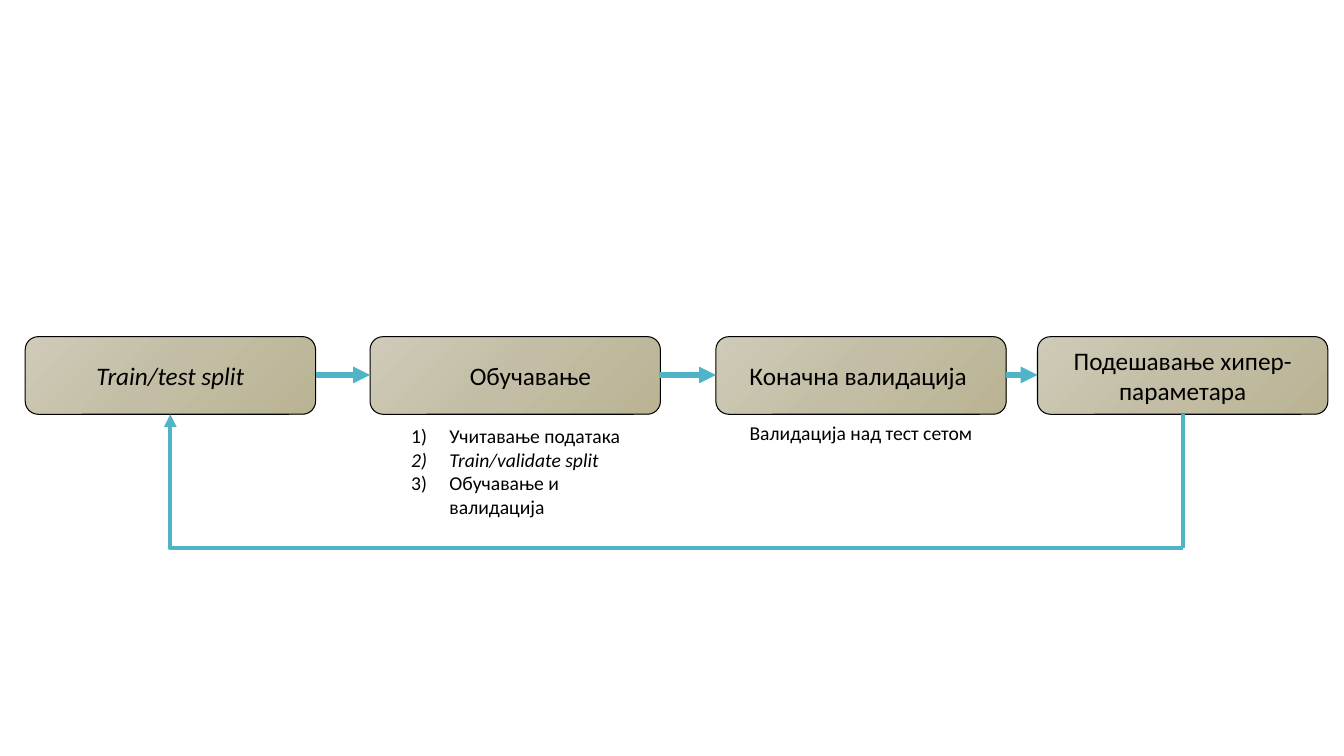
from copy import deepcopy
from dataclasses import dataclass

from lxml import etree
from pptx import Presentation
from pptx.dml.color import RGBColor
from pptx.enum.shapes import MSO_CONNECTOR, MSO_SHAPE
from pptx.enum.text import MSO_ANCHOR, MSO_AUTO_SIZE, PP_ALIGN
from pptx.oxml.ns import qn
from pptx.shapes.connector import Connector
from pptx.slide import Slide
from pptx.text.text import _Paragraph
from pptx.util import Inches, Pt

STRAIGHT, ELBOW = MSO_CONNECTOR.STRAIGHT, MSO_CONNECTOR.ELBOW
ROUNDED = MSO_SHAPE.ROUNDED_RECTANGLE
MIDDLE, CENTER, LEFT = MSO_ANCHOR.MIDDLE, PP_ALIGN.CENTER, PP_ALIGN.LEFT
GROW = MSO_AUTO_SIZE.SHAPE_TO_FIT_TEXT

FONT = "Calibri"
BLACK, ARROW_COLOR = "000000", "50B4C8"
GRADIENT = ((0, "CFCBB8"), (0.5, "C2BDA4"), (1, "BAB494"))
STEP_TOP, STEP_WIDTH, STEP_HEIGHT = 3.34, 2.88, 0.77
STEP_BOTTOM = STEP_TOP + STEP_HEIGHT
ARROW_Y, LOOP_Y = 3.72, 5.44
NUMBER_INDENT = 0.38


@dataclass
class Step:
    left: float
    text: str
    italic: bool = False
    left_inset: float = 0.1

    @property
    def right(self) -> float:
        return self.left + STEP_WIDTH

    @property
    def center(self) -> float:
        return self.left + STEP_WIDTH / 2


@dataclass
class NoteLine:
    text: str
    italic: bool = False


@dataclass
class Note:
    left: float
    top: float
    width: float
    height: float
    lines: list[NoteLine]
    numbered: bool = False


STEPS = [
    Step(0.25, "Train/test split", italic=True),
    Step(3.67, "Обучавање", left_inset=0.4),
    Step(7.1, "Коначна валидација "),
    Step(10.29, "Подешавање хипер-параметара"),
]
NOTES = [
    Note(3.98, 4.16, 2.57, 1.28, [
        NoteLine("Учитавање података"),
        NoteLine("Train/validate split", italic=True),
        NoteLine("Обучавање и валидација"),
    ], numbered=True),
    Note(7.1, 4.13, STEP_WIDTH, 0.34, [NoteLine("Валидација над тест сетом")]),
]


def color(value: str) -> RGBColor:
    return RGBColor.from_string(value)


def write(paragraph: _Paragraph, text: str, size: int, italic: bool, alignment: PP_ALIGN) -> None:
    paragraph.text = text
    paragraph.alignment = alignment
    font = paragraph.font
    font.name, font.size, font.italic = FONT, Pt(size), italic
    font.color.rgb = color(BLACK)


def number(paragraph: _Paragraph) -> None:
    properties = paragraph._p.get_or_add_pPr()
    properties.set("marL", str(Inches(NUMBER_INDENT)))
    properties.set("indent", str(-Inches(NUMBER_INDENT)))
    etree.SubElement(properties, qn("a:buFont"), typeface="+mj-lt")
    etree.SubElement(properties, qn("a:buAutoNum"), type="arabicParenR")


def add_step(slide: Slide, step: Step) -> None:
    shape = slide.shapes.add_shape(ROUNDED, Inches(step.left), Inches(STEP_TOP),
                                   Inches(STEP_WIDTH), Inches(STEP_HEIGHT))
    shape.shadow.inherit = False
    shape.line.color.rgb = color(BLACK)
    shape.line.width = Pt(0.75)
    shape.fill.gradient()
    shape.fill.gradient_angle = 315
    stop_list = shape._element.spPr.find(qn("a:gradFill")).find(qn("a:gsLst"))
    stop_list.insert(1, deepcopy(stop_list[0]))
    for stop, (position, value) in zip(shape.fill.gradient_stops, GRADIENT):
        stop.position = position
        stop.color.rgb = color(value)
    frame = shape.text_frame
    frame.word_wrap = True
    frame.vertical_anchor = MIDDLE
    frame.margin_left = Inches(step.left_inset)
    write(frame.paragraphs[0], step.text, 18, step.italic, CENTER)


def add_note(slide: Slide, note: Note) -> None:
    box = slide.shapes.add_textbox(Inches(note.left), Inches(note.top),
                                   Inches(note.width), Inches(note.height))
    frame = box.text_frame
    frame.word_wrap = True
    frame.auto_size = GROW
    for index, line in enumerate(note.lines):
        paragraph = frame.add_paragraph() if index else frame.paragraphs[0]
        if note.numbered:
            number(paragraph)
        write(paragraph, line.text, 14, line.italic, LEFT if note.numbered else CENTER)


def add_line(slide: Slide, start: tuple[float, float], end: tuple[float, float], width: float,
             arrow: bool = True, kind: MSO_CONNECTOR = STRAIGHT) -> Connector:
    connector = slide.shapes.add_connector(kind, *map(Inches, start + end))
    connector.line.color.rgb = color(ARROW_COLOR)
    connector.line.width = Pt(width)
    properties = connector._element.spPr
    if arrow:
        etree.SubElement(properties.find(qn("a:ln")), qn("a:tailEnd"), type="triangle")
    etree.SubElement(properties, qn("a:effectLst"))
    return connector


def add_loop(slide: Slide, first: Step, last: Step) -> None:
    """Lead from the last step down, back and up to the first one."""
    corner = (last.center, LOOP_Y)
    bend = add_line(slide, corner, (first.center, STEP_BOTTOM), 3, kind=ELBOW)
    bend._element.spPr.find(qn("a:prstGeom")).set("prst", "bentConnector2")
    add_line(slide, (last.center, STEP_BOTTOM), corner, 3, arrow=False)


def main() -> None:
    presentation = Presentation()
    presentation.slide_width, presentation.slide_height = Inches(13.33), Inches(7.5)
    slide = presentation.slides.add_slide(presentation.slide_layouts[6])
    for step in STEPS:
        add_step(slide, step)
    for step, following in zip(STEPS, STEPS[1:]):
        add_line(slide, (step.right, ARROW_Y), (following.left, ARROW_Y), 4)
    add_loop(slide, STEPS[0], STEPS[-1])
    for note in NOTES:
        add_note(slide, note)
    presentation.save("out.pptx")


if __name__ == "__main__":
    main()
